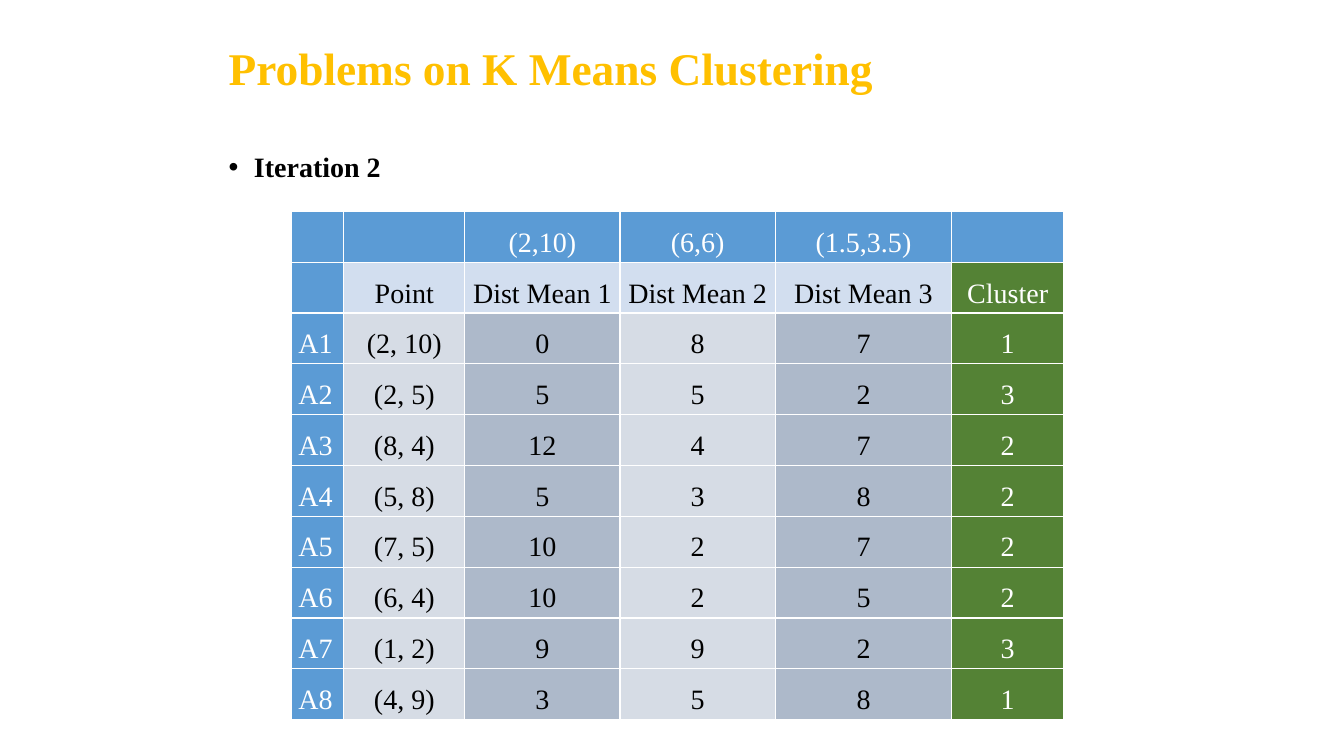
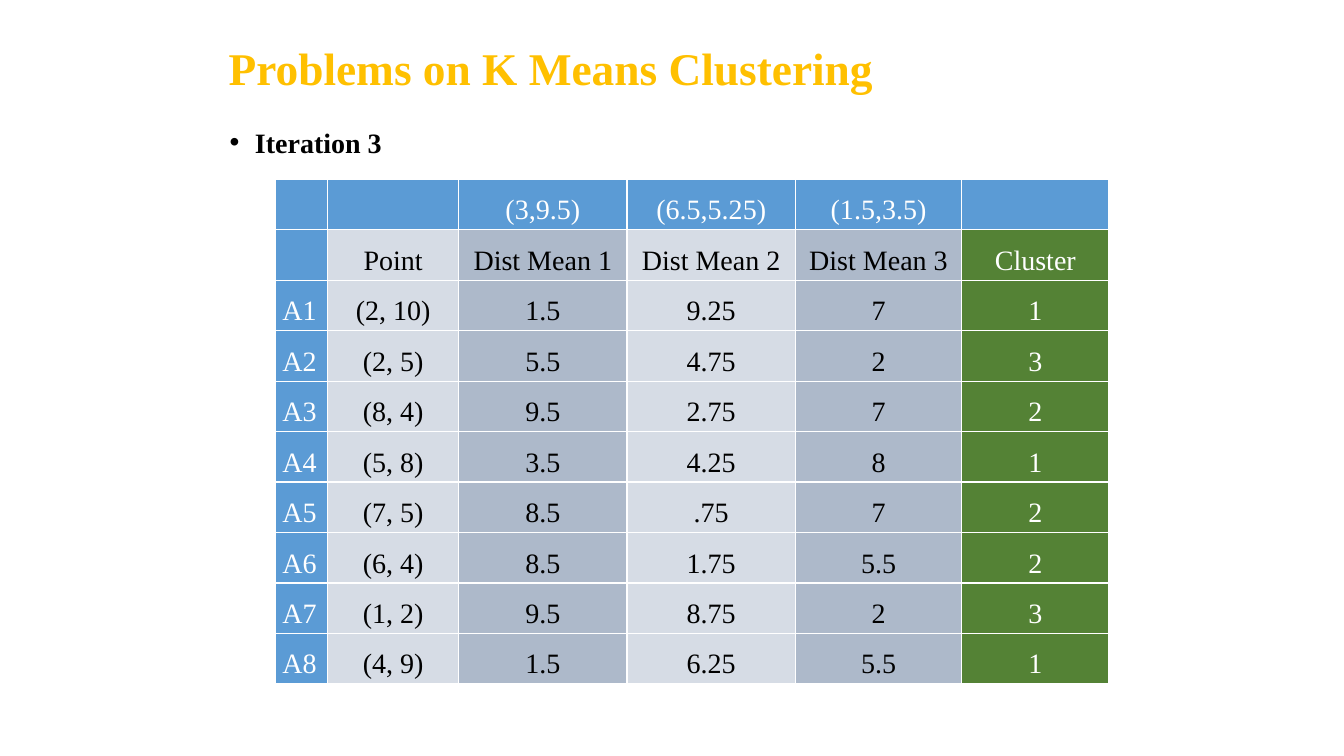
from dataclasses import dataclass

from lxml.etree import SubElement
from pptx import Presentation
from pptx.dml.color import RGBColor
from pptx.enum.text import MSO_ANCHOR as Anchor, PP_ALIGN as Align
from pptx.oxml.ns import qn
from pptx.slide import Slide
from pptx.table import _Cell as Cell
from pptx.text.text import Font, _Paragraph as Paragraph
from pptx.util import Inches, Pt

SLIDE_WIDTH, SLIDE_HEIGHT = 13.33, 7.5
TEXT_LEFT, TEXT_WIDTH = 2.17, 9
TITLE_TOP, TITLE_HEIGHT = 0.41, 0.7
HEADING_HEIGHT = 0.5
BULLET_INDENT = 0.25
CELL_SIDE_MARGIN = 0.07

FONT_NAME = "Times New Roman"
TITLE_SIZE, TEXT_SIZE = 32.4, 20

GOLD, BLACK, WHITE = "FFC000", "000000", "FFFFFF"
BLUE, PALE_BLUE, GREEN = "5B9BD5", "D2DEEF", "548235"
LIGHT_GREY, DARK_GREY = "D6DCE5", "ADB9CA"

TITLE = "Problems on K Means Clustering"
LABELS = ["", "Point", "Dist Mean 1", "Dist Mean 2", "Dist Mean 3", "Cluster"]
POINTS = ["(2, 10)", "(2, 5)", "(8, 4)", "(5, 8)", "(7, 5)", "(6, 4)", "(1, 2)", "(4, 9)"]


@dataclass(frozen=True)
class Iteration:
    """One pass of the algorithm; each result holds three distances and a cluster."""
    heading: str
    heading_left: float
    heading_top: float
    table_left: float
    table_top: float
    table_height: float
    label_height: float
    label_fills: tuple[str, str]
    column_widths: tuple[float, ...]
    means: tuple[str, str, str]
    results: tuple[str, ...]

    def rows(self) -> list[list[str]]:
        measured = [[f"A{number}", point, *result.split()]
                    for number, (point, result) in enumerate(zip(POINTS, self.results), 1)]
        return [["", "", *self.means, ""], LABELS, *measured]


ITERATIONS = [
    Iteration(
        heading="Iteration 2", heading_left=TEXT_LEFT, heading_top=1.47,
        table_left=2.89, table_top=2.1, table_height=5, label_height=0.46,
        label_fills=(PALE_BLUE, PALE_BLUE),
        column_widths=(0.52, 1.2, 1.54, 1.54, 1.75, 1.11),
        means=("(2,10)", "(6,6)", "(1.5,3.5)"),
        results=("0 8 7 1", "5 5 2 3", "12 4 7 2", "5 3 8 2",
                 "10 2 7 2", "10 2 5 2", "9 9 2 3", "3 5 8 1"),
    ),
    Iteration(
        heading="Iteration 3", heading_left=2.18, heading_top=1.23,
        table_left=2.73, table_top=1.78, table_height=4.96, label_height=0.5,
        label_fills=(LIGHT_GREY, DARK_GREY),
        column_widths=(0.52, 1.3, 1.67, 1.67, 1.65, 1.46),
        means=("(3,9.5)", "(6.5,5.25)", "(1.5,3.5)"),
        results=("1.5 9.25 7 1", "5.5 4.75 2 3", "9.5 2.75 7 2", "3.5 4.25 8 1",
                 "8.5 .75 7 2", "8.5 1.75 5.5 2", "9.5 8.75 2 3", "1.5 6.25 5.5 1"),
    ),
]


def rgb(value: str) -> RGBColor:
    return RGBColor.from_string(value)


def style_font(font: Font, size: float, color: str, bold: bool = False) -> None:
    font.name = FONT_NAME
    font.size = Pt(size)
    font.bold = bold
    font.color.rgb = rgb(color)


def add_bullet(paragraph: Paragraph) -> None:
    properties = paragraph._p.get_or_add_pPr()
    properties.set("marL", str(Inches(BULLET_INDENT)))
    properties.set("indent", str(-Inches(BULLET_INDENT)))
    SubElement(properties, qn("a:buFont"), typeface="Arial")
    SubElement(properties, qn("a:buChar"), char="•")


def add_line(slide: Slide, text: str, left: float, top: float, height: float,
             size: float, color: str, bulleted: bool = False) -> None:
    """Add a bold line of text in a box of the common width."""
    box = slide.shapes.add_textbox(
        Inches(left), Inches(top), Inches(TEXT_WIDTH), Inches(height))
    frame = box.text_frame
    frame.word_wrap = True
    frame.vertical_anchor = Anchor.TOP
    frame.text = text
    line = frame.paragraphs[0]
    line.line_spacing = 0.9
    if bulleted:
        add_bullet(line)
    style_font(line.runs[0].font, size, color, bold=True)


def cell_colors(iteration: Iteration, row: int, column: int) -> tuple[str, str]:
    """Return the fill and the text colour of a cell."""
    if row == 0 or column == 0:
        return BLUE, WHITE
    if column == len(LABELS) - 1:
        return GREEN, WHITE
    fills = iteration.label_fills if row == 1 else (LIGHT_GREY, DARK_GREY)
    return fills[(column - 1) % 2], BLACK


def fill_cell(cell: Cell, text: str, fill: str, color: str, align: Align) -> None:
    cell.fill.solid()
    cell.fill.fore_color.rgb = rgb(fill)
    cell.margin_left = cell.margin_right = Inches(CELL_SIDE_MARGIN)
    cell.margin_top = cell.margin_bottom = 0
    if not text:
        return
    cell.text_frame.text = text
    paragraph = cell.text_frame.paragraphs[0]
    paragraph.alignment = align
    paragraph.line_spacing = 1.5
    style_font(paragraph.runs[0].font, TEXT_SIZE, color)


def add_distances(slide: Slide, iteration: Iteration) -> None:
    rows = iteration.rows()
    table = slide.shapes.add_table(
        len(rows), len(LABELS), Inches(iteration.table_left), Inches(iteration.table_top),
        Inches(sum(iteration.column_widths)), Inches(iteration.table_height)).table
    table.first_row = table.horz_banding = False
    for column, width in zip(table.columns, iteration.column_widths):
        column.width = Inches(width)
    row_height = (iteration.table_height - iteration.label_height) / (len(rows) - 1)
    for row, texts in enumerate(rows):
        table.rows[row].height = Inches(iteration.label_height if row == 1 else row_height)
        for column, text in enumerate(texts):
            fill, color = cell_colors(iteration, row, column)
            align = Align.CENTER if column else Align.JUSTIFY
            fill_cell(table.cell(row, column), text, fill, color, align)


def main() -> None:
    deck = Presentation()
    deck.slide_width, deck.slide_height = Inches(SLIDE_WIDTH), Inches(SLIDE_HEIGHT)
    blank = deck.slide_layouts[6]
    for iteration in ITERATIONS:
        slide = deck.slides.add_slide(blank)
        add_line(slide, TITLE, TEXT_LEFT, TITLE_TOP, TITLE_HEIGHT, TITLE_SIZE, GOLD)
        add_line(slide, iteration.heading, iteration.heading_left, iteration.heading_top,
                 HEADING_HEIGHT, TEXT_SIZE, BLACK, bulleted=True)
        add_distances(slide, iteration)
    deck.save("out.pptx")


if __name__ == "__main__":
    main()
